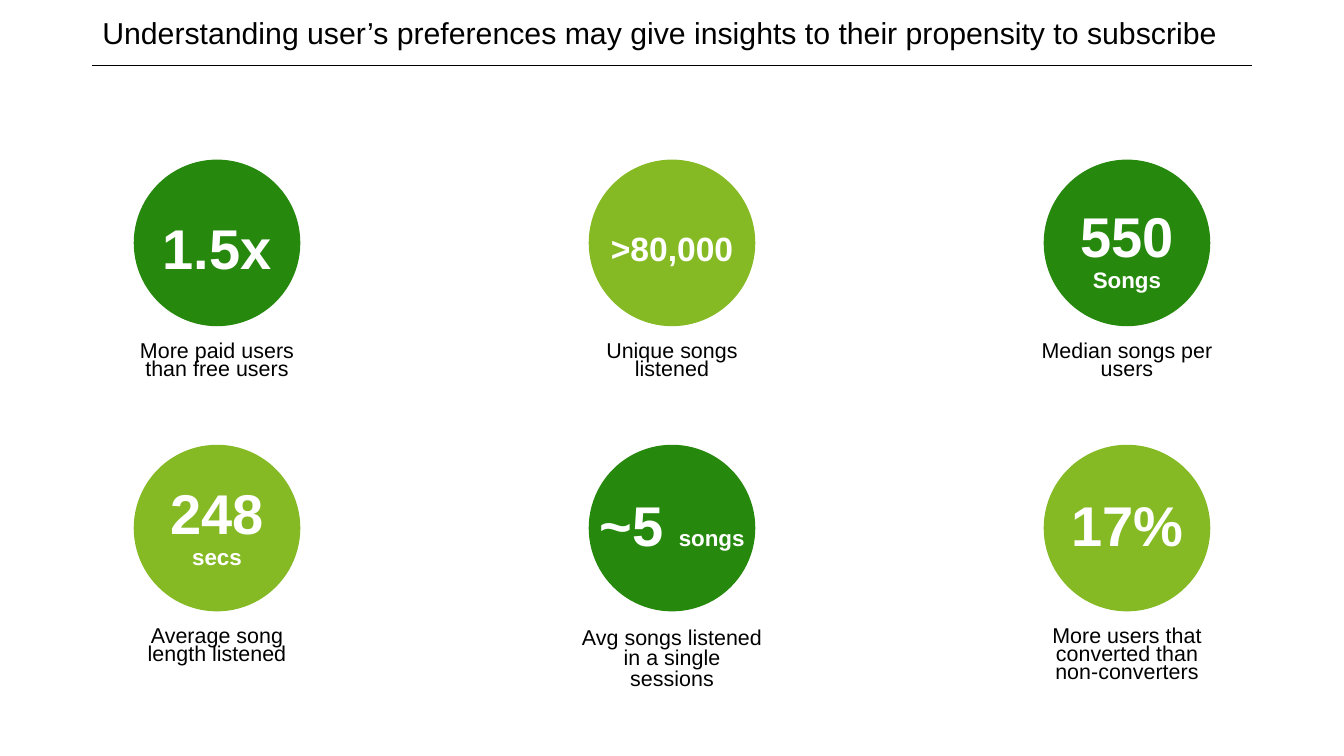
import pptx
import pptx.util
import pptx.dml.color
import pptx.enum.shapes
import pptx.enum.text
import lxml.etree
from dataclasses import dataclass

Pt = pptx.util.Pt
RGB = pptx.dml.color.RGBColor.from_string
Align = pptx.enum.text.PP_ALIGN
Anchor = pptx.enum.text.MSO_ANCHOR


@dataclass(frozen=True)
class Theme:
    font: str = "Arial"
    ink: str = "000000"
    white: str = "FFFFFF"
    dark_green: str = "26890D"
    light_green: str = "85BA25"
    title: float = 21.6
    figure: float = 40
    long_figure: float = 24
    unit: float = 16
    caption: float = 15.3


THEME = Theme()
COLUMN_CENTERS = (155, 480, 805)
CIRCLE = 118
LABEL_WIDTH = 145.5
FIGURE_HEIGHT = 54.7
CAPTION_OFFSET = 127.5

ROWS = (
    (114.5, 152, (
        ([[("1.5x", THEME.figure)]],
         "More paid users than free users", 0.7),
        ([[(">80,000", THEME.long_figure)]],
         "Unique songs listened", 0.7),
        ([[("550", THEME.figure)], [("Songs", THEME.unit)]],
         "Median songs per users", 0.7),
    )),
    (318.2, 350, (
        ([[("248", THEME.figure)], [("secs", THEME.unit)]],
         "Average song length listened", 0.7),
        ([[("~5 ", THEME.figure), ("songs", THEME.unit)]],
         "Avg songs listened in a single sessions", 0.8),
        ([[("17%", THEME.figure)]],
         "More users that converted than non-converters", 0.7),
    )),
)


def add_text(slide, paragraphs, left, top, width, height, color=THEME.ink,
             bold=False, align=Align.CENTER, anchor=Anchor.TOP,
             line_spacing=0.9, space_before=0, side_inset=7.2):
    frame = slide.shapes.add_textbox(
        Pt(left), Pt(top), Pt(width), Pt(height)).text_frame
    frame.word_wrap = True
    frame.vertical_anchor = anchor
    frame.margin_left = frame.margin_right = Pt(side_inset)
    for index, pieces in enumerate(paragraphs):
        paragraph = frame.add_paragraph() if index else frame.paragraphs[0]
        paragraph.alignment = align
        paragraph.line_spacing = line_spacing
        paragraph.space_before = Pt(space_before)
        for words, size in pieces:
            run = paragraph.add_run()
            run.text = words
            run.font.name = THEME.font
            run.font.size = Pt(size)
            run.font.bold = bold
            run.font.color.rgb = RGB(color)


def add_rule(slide, left, right, y):
    rule = slide.shapes.add_connector(
        pptx.enum.shapes.MSO_CONNECTOR.STRAIGHT,
        Pt(left), Pt(y), Pt(right), Pt(y))
    rule.line.color.rgb = RGB(THEME.ink)
    rule.line.width = Pt(0.5)
    lxml.etree.SubElement(rule._element.spPr, pptx.oxml.ns.qn("a:effectLst"))


def add_circle(slide, center, top, color):
    circle = slide.shapes.add_shape(
        pptx.enum.shapes.MSO_SHAPE.OVAL,
        Pt(center - CIRCLE / 2), Pt(top), Pt(CIRCLE), Pt(CIRCLE))
    circle.shadow.inherit = False
    circle.fill.solid()
    circle.fill.fore_color.rgb = RGB(color)
    circle.line.color.rgb = RGB(color)
    circle.line.width = Pt(1)


def add_metric(slide, center, top, figure_top, color, figure, caption, spacing):
    left = center - LABEL_WIDTH / 2
    add_circle(slide, center, top, color)
    add_text(slide, figure, left, figure_top, LABEL_WIDTH, FIGURE_HEIGHT,
             color=THEME.white, bold=True, anchor=Anchor.MIDDLE,
             space_before=10 if len(figure) == 1 else 0, side_inset=0)
    add_text(slide, [[(caption, THEME.caption)]], left, top + CAPTION_OFFSET,
             LABEL_WIDTH, 33, line_spacing=spacing, space_before=10)


def main():
    deck = pptx.Presentation()
    deck.slide_width, deck.slide_height = Pt(960), Pt(540)
    slide = deck.slides.add_slide(deck.slide_layouts[6])
    title = ("Understanding user’s preferences may give insights "
             "to their propensity to subscribe")
    add_text(slide, [[(title, THEME.title)]], 66, 9.4, 828, 37.4,
             align=Align.LEFT)
    add_rule(slide, 66, 894, 46.8)
    greens = (THEME.dark_green, THEME.light_green)
    for row, (top, figure_top, metrics) in enumerate(ROWS):
        for column, metric in enumerate(metrics):
            add_metric(slide, COLUMN_CENTERS[column], top, figure_top,
                       greens[(row + column) % 2], *metric)
    deck.save("out.pptx")


if __name__ == "__main__":
    main()
